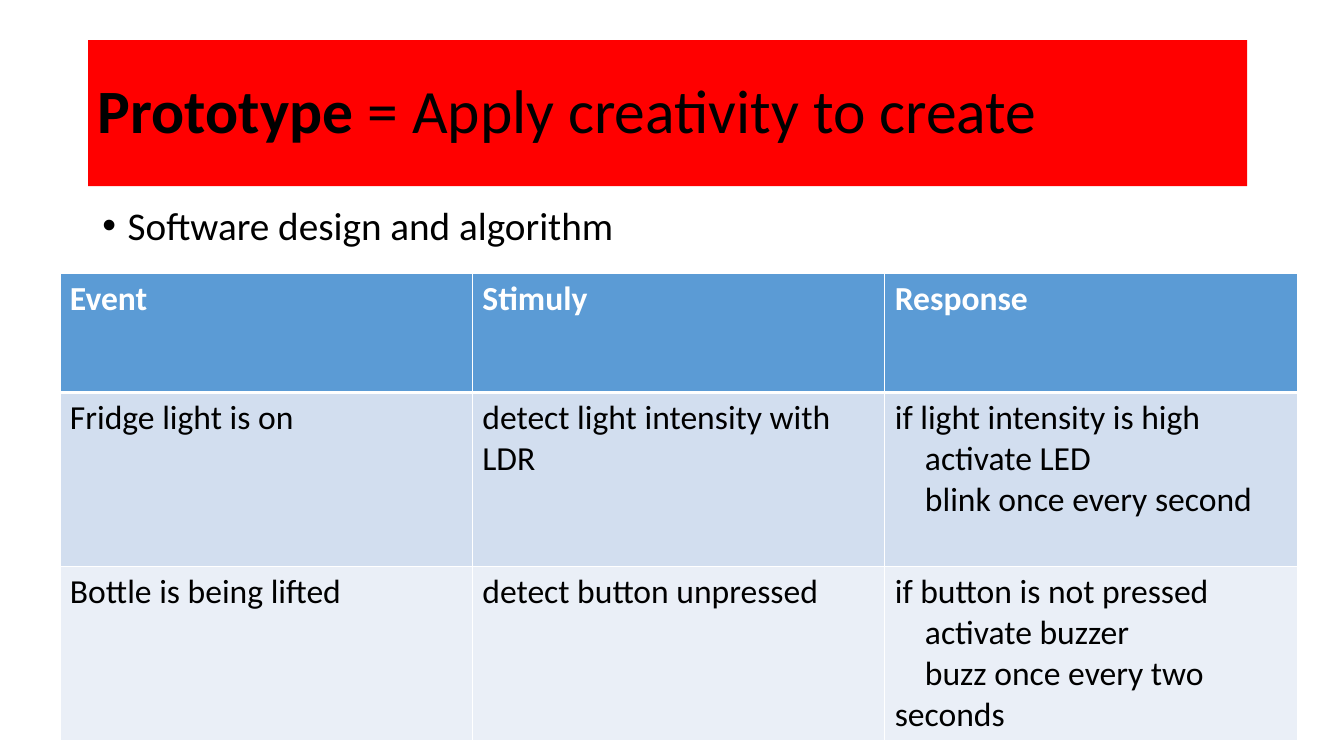
from lxml.etree import SubElement
from pptx import Presentation
from pptx.dml.color import RGBColor
from pptx.enum.shapes import MSO_SHAPE
from pptx.enum.text import MSO_ANCHOR, PP_ALIGN
from pptx.oxml.ns import qn
from pptx.util import Cm, Pt

COLORS = {
    "banner": "FF0000",
    "header": "5B9BD5",
    "band_dark": "D2DEEF",
    "band_light": "EAEFF7",
    "text": "000000",
    "white": "FFFFFF",
}
FONT = "Calibri"
STEP_INDENT = Cm(0.76)

# Each cell is a list of lines; lines after the first are indented steps
ROWS = [
    [["Event"], ["Stimuly"], ["Response"]],
    [["Fridge light is on"], ["detect light intensity with LDR"],
     ["if light intensity is high", "activate LED", "blink once every second"]],
    [["Bottle is being lifted"], ["detect button unpressed"],
     ["if button is not pressed", "activate buzzer", "buzz once every two seconds"]],
]
ROW_FILLS = ["header", "band_dark", "band_light"]
ROW_HEIGHTS = [Cm(3), Cm(4.38), Cm(4.38)]


def rgb(name):
    return RGBColor.from_string(COLORS[name])


def style_run(r, size, color="text", bold=False):
    r.font.name = FONT
    r.font.size = Pt(size)
    r.font.bold = bold
    r.font.color.rgb = rgb(color)


def add_banner(slide, x, y, w, h):
    sp = slide.shapes.add_shape(MSO_SHAPE.RECTANGLE, x, y, w, h)
    sp.shadow.inherit = False
    sp.fill.solid()
    sp.fill.fore_color.rgb = rgb("banner")
    sp.line.fill.background()
    tf = sp.text_frame
    tf.word_wrap = True
    tf.vertical_anchor = MSO_ANCHOR.MIDDLE
    p = tf.paragraphs[0]
    p.alignment = PP_ALIGN.LEFT
    p.line_spacing = 0.9
    for text, bold in [("Prototype", True), (" = Apply creativity to create", False)]:
        r = p.add_run()
        r.text = text
        style_run(r, 44, bold=bold)


def add_bullet_line(slide, x, y, w, h):
    tf = slide.shapes.add_textbox(x, y, w, h).text_frame
    tf.word_wrap = True
    p = tf.paragraphs[0]
    p.text = "Software design and algorithm"
    p.line_spacing = 0.9
    pPr = p._p.get_or_add_pPr()
    pPr.set("marL", str(Cm(0.64)))
    pPr.set("indent", str(-Cm(0.64)))
    SubElement(pPr, qn("a:buFont"), typeface="Arial")
    SubElement(pPr, qn("a:buChar"), char="•")
    style_run(p.runs[0], 28)


def add_borders(cell, top, bottom):
    tcPr = cell._tc.get_or_add_tcPr()
    for side, width in [("L", 1), ("R", 1), ("T", top), ("B", bottom)]:
        ln = SubElement(tcPr, qn(f"a:ln{side}"), w=str(Pt(width)))
        fill = SubElement(ln, qn("a:solidFill"))
        SubElement(fill, qn("a:srgbClr"), val=COLORS["white"])


def fill_cell(cell, lines, row):
    is_header = row == 0
    # A thick rule separates the header from the first data row
    add_borders(cell, top=3 if row == 1 else 1, bottom=3 if is_header else 1)
    cell.fill.solid()
    cell.fill.fore_color.rgb = rgb(ROW_FILLS[row])
    tf = cell.text_frame
    tf.text = "\n".join(lines)
    for i, p in enumerate(tf.paragraphs):
        if i:
            p._p.get_or_add_pPr().set("indent", str(STEP_INDENT))
        style_run(p.runs[0], 24, "white" if is_header else "text", is_header)


def add_event_table(slide, x, y, w):
    cols = len(ROWS[0])
    table = slide.shapes.add_table(len(ROWS), cols, x, y, w, sum(ROW_HEIGHTS)).table
    table.horz_banding = False
    for col in table.columns:
        col.width = w // cols
    for i, row in enumerate(ROWS):
        table.rows[i].height = ROW_HEIGHTS[i]
        for j, lines in enumerate(row):
            fill_cell(table.cell(i, j), lines, i)


def main():
    prs = Presentation()
    prs.slide_width, prs.slide_height = Cm(33.87), Cm(19.05)
    slide = prs.slides.add_slide(prs.slide_layouts[6])
    add_bullet_line(slide, Cm(2.33), Cm(5.08), Cm(14.4), Cm(1.9))
    add_event_table(slide, Cm(1.51), Cm(6.89), Cm(31.18))
    add_banner(slide, Cm(2.22), Cm(1.01), Cm(29.21), Cm(3.68))
    prs.save("out.pptx")


if __name__ == "__main__":
    main()
